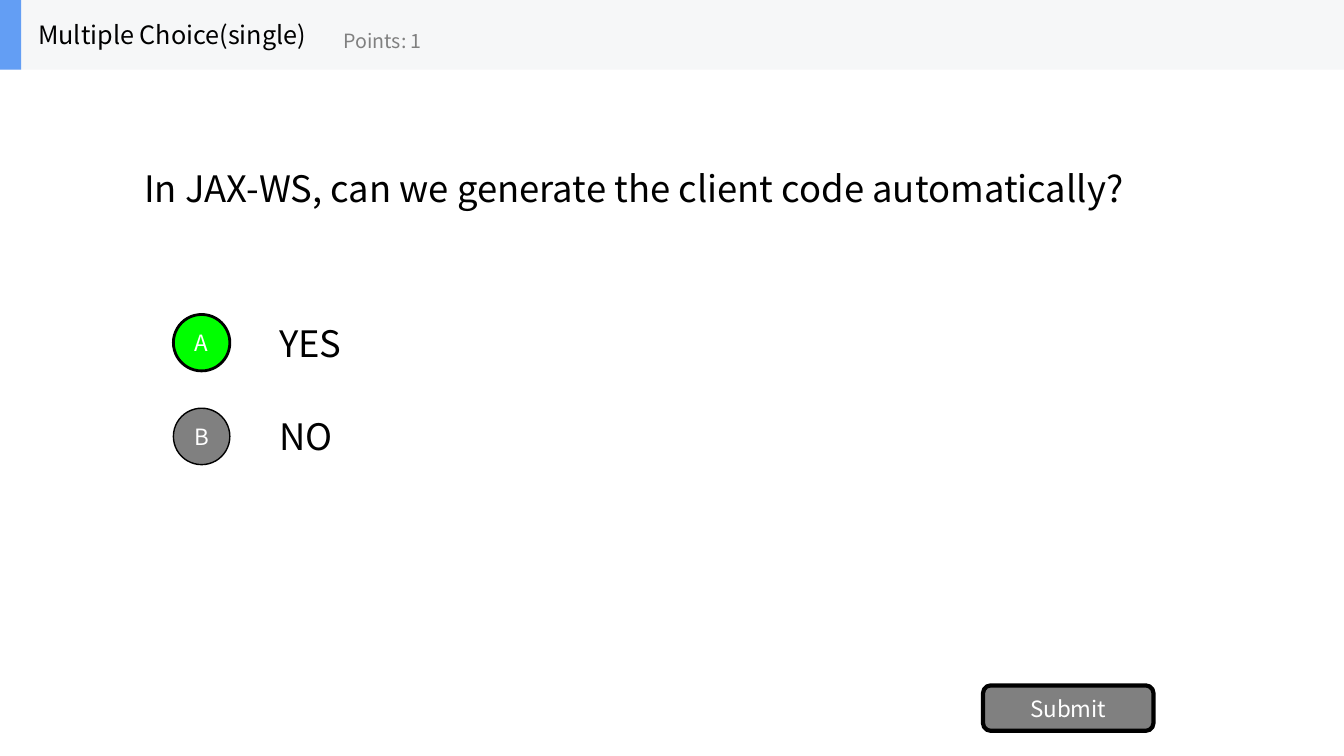
from pptx import Presentation
from pptx.dml.color import RGBColor
from pptx.enum.shapes import MSO_SHAPE as Preset
from pptx.enum.text import MSO_ANCHOR as Anchor, MSO_AUTO_SIZE as AutoSize, PP_ALIGN as Align
from pptx.util import Inches, Pt

COLORS = {
    "black": "000000",
    "white": "FFFFFF",
    "gray": "808080",
    "correct": "00FF00",
    "band": "F6F7F8",
    "accent": "639EF4",
}
FONT = "Noto Sans CJK SC"


def color(name):
    return RGBColor.from_string(COLORS[name])


def write(shape, text, size=26, ink="black", align=Align.LEFT, wrap=True, inset=0.1):
    frame = shape.text_frame
    frame.auto_size = AutoSize.NONE
    frame.word_wrap = wrap
    frame.vertical_anchor = Anchor.MIDDLE
    frame.margin_left = frame.margin_right = Inches(inset)
    para = frame.paragraphs[0]
    para.alignment = align
    span = para.add_run()
    span.text = text
    span.font.name = FONT
    span.font.size = Pt(size)
    span.font.color.rgb = color(ink)


def add_text(shapes, box, text, **style):
    write(shapes.add_textbox(*map(Inches, box)), text, **style)


def add_block(shapes, preset, box, fill, line_width=0):
    block = shapes.add_shape(preset, *map(Inches, box))
    block.shadow.inherit = False
    block.fill.solid()
    block.fill.fore_color.rgb = color(fill)
    if line_width:
        block.line.color.rgb = color("black")
        block.line.width = Pt(line_width)
    else:
        block.line.fill.background()
    return block


def add_button(shapes, preset, box, text, fill, line_width):
    button = add_block(shapes, preset, box, fill, line_width)
    write(button, text, size=16, ink="white", align=Align.CENTER, inset=0)


def add_header(page, box, kind, points):
    left, top, width, height = box
    shapes = page.shapes.add_group_shape().shapes
    add_block(shapes, Preset.RECTANGLE, box, "band")
    add_block(shapes, Preset.RECTANGLE, (left, top, 0.21, height), "accent")
    add_text(shapes, (left + 0.28, top, 2.08, height), kind, size=18, wrap=False)
    add_text(shapes, (left + 3.31, top + 0.12, 2.5, 0.56), points,
             size=14, ink="gray", wrap=False)


def add_question(page, box, text):
    title = page.shapes.title
    title.left, title.top, title.width, title.height = map(Inches, box)
    write(title, text)


def add_options(page, box, options, correct):
    left, top, width, height = box
    pitch, row_height, badge = 0.93, 0.7, 0.56
    for index, (letter, answer) in enumerate(options):
        row_top = top + index * pitch
        add_text(page.shapes, (left + 0.95, row_top, width - 0.95, row_height), answer)
        chosen = letter == correct
        add_button(page.shapes, Preset.OVAL,
                   (left, row_top + (row_height - badge) / 2, badge, badge), letter,
                   "correct" if chosen else "gray", 2 if chosen else 1)


def build_quiz(deck):
    page = deck.slides.add_slide(deck.slide_layouts[5])
    add_question(page, (1.33, 0.69, 10.67, 2.34),
                 "In JAX-WS, can we generate the client code automatically?")
    add_options(page, (1.72, 3.05, 10.28, 1.63), [("A", "YES"), ("B", "NO")], "A")
    add_button(page.shapes, Preset.ROUNDED_RECTANGLE, (9.75, 6.8, 1.69, 0.45),
               "Submit", "gray", 3)
    add_header(page, (0, 0, 13.33, 0.69), "Multiple Choice(single)", "Points: 1")


deck = Presentation()
deck.slide_width = Inches(13.33)
deck.slide_height = Inches(7.5)
build_quiz(deck)
deck.save("out.pptx")
